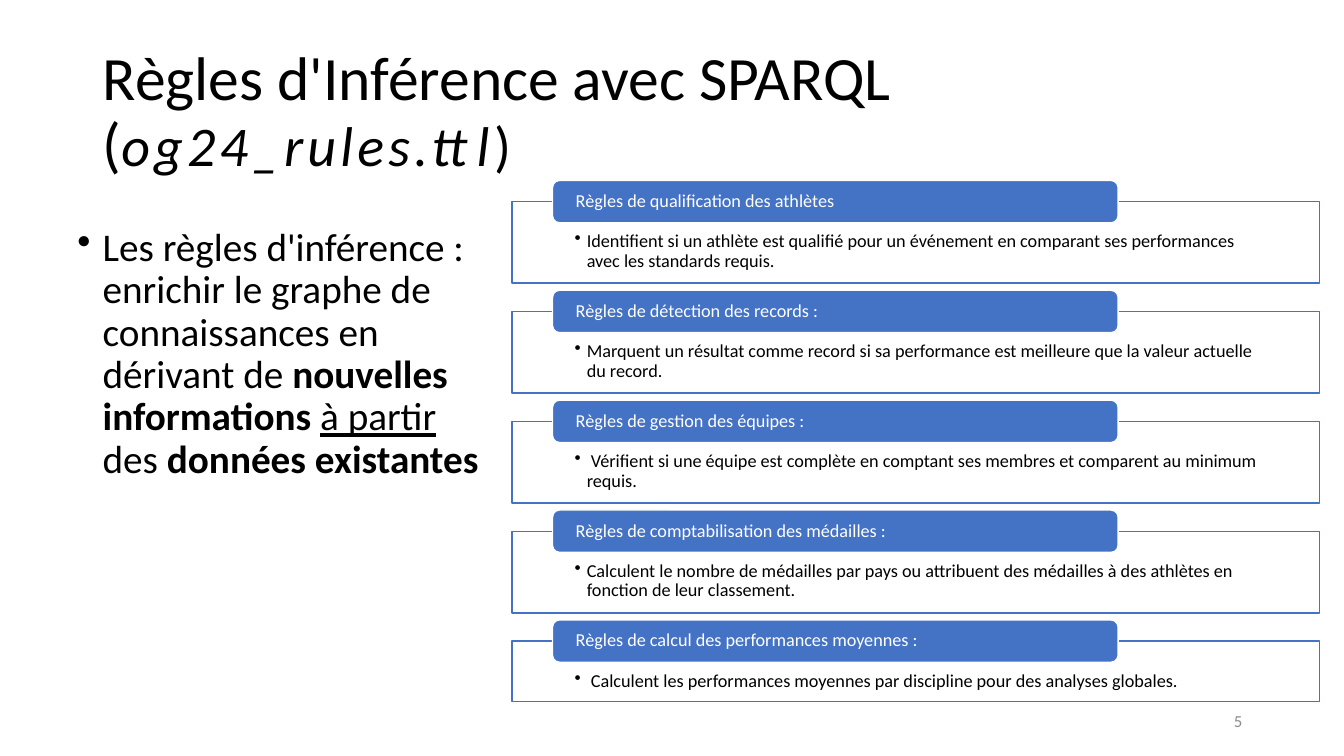
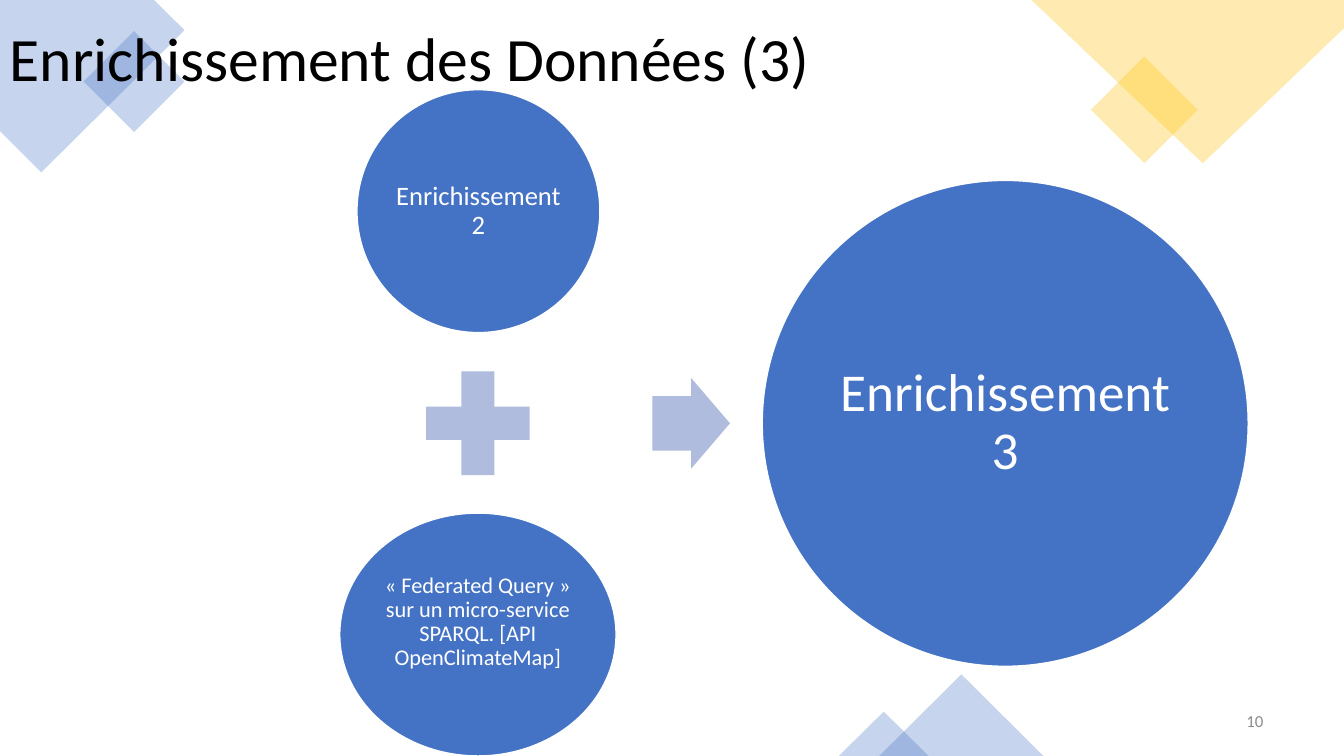
from lxml.etree import SubElement
from pptx import Presentation
from pptx.dml.color import RGBColor
from pptx.enum.shapes import MSO_SHAPE
from pptx.enum.text import MSO_ANCHOR, PP_ALIGN
from pptx.oxml.ns import qn
from pptx.util import Inches, Pt

BLUE = RGBColor(0x44, 0x72, 0xC4)
GOLD = RGBColor(0xFF, 0xC0, 0x00)
PALE_BLUE = RGBColor(0xB0, 0xBC, 0xDE)
GREY = RGBColor(0x8C, 0x8C, 0x8C)
BLACK = RGBColor(0, 0, 0)
WHITE = RGBColor(0xFF, 0xFF, 0xFF)
FONT = "Calibri"
TEXT_INSETS = (0.1, 0.05, 0.1, 0.05)

RULES = [
    ("Règles de qualification des athlètes",
     "Identifient si un athlète est qualifié pour un événement en comparant "
     "ses performances avec les standards requis."),
    ("Règles de détection des records :",
     "Marquent un résultat comme record si sa performance est meilleure "
     "que la valeur actuelle du record."),
    ("Règles de gestion des équipes :",
     " Vérifient si une équipe est complète en comptant ses membres et "
     "comparent au minimum requis."),
    ("Règles de comptabilisation des médailles :",
     "Calculent le nombre de médailles par pays ou attribuent des médailles "
     "à des athlètes en fonction de leur classement."),
    ("Règles de calcul des performances moyennes :",
     " Calculent les performances moyennes par discipline pour des "
     "analyses globales."),
]


# Text
def write(shape, runs, size, color=BLACK, align=PP_ALIGN.LEFT,
          anchor=MSO_ANCHOR.TOP, insets=TEXT_INSETS, spacing=0.9):
    """Fill a shape with one paragraph; runs is a list of (text, font settings)."""
    frame = shape.text_frame
    frame.word_wrap = True
    frame.vertical_anchor = anchor
    (frame.margin_left, frame.margin_top,
     frame.margin_right, frame.margin_bottom) = map(Inches, insets)
    paragraph = frame.paragraphs[0]
    paragraph.alignment = align
    paragraph.line_spacing = spacing
    for text, settings in runs:
        run = paragraph.add_run()
        run.text = text
        run.font.name, run.font.size = FONT, Pt(size)
        run.font.color.rgb = color
        for setting, value in settings.items():
            setattr(run.font, setting, value)
    return paragraph


def add_text(slide, box, runs, size, **options):
    return write(slide.shapes.add_textbox(*map(Inches, box)), runs, size, **options)


def set_bullet(paragraph, indent):
    properties = paragraph._p.get_or_add_pPr()
    properties.set("marL", str(Inches(indent)))
    properties.set("indent", str(-Inches(indent)))
    SubElement(properties, qn("a:buChar")).set("char", "•")


def add_title(slide, left, top, runs):
    return add_text(slide, (left, top, 11.5, 1.45), runs, 44,
                    anchor=MSO_ANCHOR.MIDDLE)


def add_page_number(slide, left, number):
    add_text(slide, (left, 6.95, 3, 0.4), [(number, {})], 12, color=GREY,
             align=PP_ALIGN.RIGHT, anchor=MSO_ANCHOR.MIDDLE, spacing=1.0)


# Shapes
def paint(shape, fill, line=None, opacity=100):
    shape.shadow.inherit = False
    shape.fill.solid()
    shape.fill.fore_color.rgb = fill
    if opacity < 100:
        color = shape.fill._xPr.find(qn("a:solidFill"))[0]
        SubElement(color, qn("a:alpha")).set("val", str(opacity * 1000))
    if line is None:
        shape.line.fill.background()
    else:
        shape.line.color.rgb = line
        shape.line.width = Pt(1)
    return shape


def add_shape(slide, preset, box, fill, line=None, opacity=100):
    shape = slide.shapes.add_shape(preset, *map(Inches, box))
    return paint(shape, fill, line, opacity)


def add_corner(slide, points, fill):
    outline = [(Inches(x), Inches(y)) for x, y in points]
    builder = slide.shapes.build_freeform(*outline[0])
    builder.add_line_segments(outline[1:], close=True)
    paint(builder.convert_to_shape(), fill, opacity=30)


def add_rule(slide, top, height, heading, description):
    body = add_shape(slide, MSO_SHAPE.RECTANGLE, (5.08, top, 8.01, height),
                     WHITE, BLUE)
    set_bullet(write(body, [(description, {})], 13,
                     insets=(0.62, 0.3, 0.62, 0.1)), 0.12)
    label = add_shape(slide, MSO_SHAPE.ROUNDED_RECTANGLE,
                      (5.48, top - 0.21, 5.61, 0.42), BLUE, WHITE)
    write(label, [(heading, {})], 13, color=WHITE, anchor=MSO_ANCHOR.MIDDLE,
          insets=(0.21, 0, 0.21, 0))


def add_circle(slide, box, text, size, inset, bottom_inset=None):
    circle = add_shape(slide, MSO_SHAPE.OVAL, box, BLUE, WHITE)
    write(circle, [(text, {})], size, color=WHITE, align=PP_ALIGN.CENTER,
          anchor=MSO_ANCHOR.MIDDLE,
          insets=(inset, inset, inset, bottom_inset or inset))


def add_decorations(slide):
    add_corner(slide, [(1.53, 0), (0, 0), (0, 1.3), (0.41, 1.71), (1.83, 0.3)], BLUE)
    add_corner(slide, [(13.33, 0), (10.23, 0), (11.93, 1.62), (13.33, 0.28)], GOLD)
    for preset, box, fill in [
        (MSO_SHAPE.DIAMOND, (0.83, 0.31, 1, 1), BLUE),
        (MSO_SHAPE.DIAMOND, (10.82, 0.56, 1.06, 1.06), GOLD),
        (MSO_SHAPE.ISOSCELES_TRIANGLE, (8.72, 6.69, 1.63, 0.81), BLUE),
        (MSO_SHAPE.ISOSCELES_TRIANGLE, (8.32, 7.06, 0.89, 0.44), BLUE),
    ]:
        add_shape(slide, preset, box, fill, opacity=30)


# Slides
def build_rules_slide(slide):
    title = add_title(slide, 0.92, 0.4, [
        ("Règles d'Inférence avec SPARQL (", {}),
        ("og24_rules.ttl", {"size": Pt(40), "italic": True}),
        (")", {"size": Pt(40)}),
    ])
    for run in title.runs[1:]:
        run.font._element.set("spc", "300")

    summary = add_text(slide, (0.67, 2.21, 4.22, 2.73), [
        ("Les règles d'inférence : enrichir le graphe de connaissances "
         "en dérivant de ", {}),
        ("nouvelles informations ", {"bold": True}),
        ("à partir ", {"underline": True}),
        ("des ", {}),
        ("données existantes", {"bold": True}),
    ], 28)
    summary.space_before = Pt(10)
    set_bullet(summary, 0.25)

    for index, (heading, description) in enumerate(RULES):
        height = 0.6 if index == len(RULES) - 1 else 0.81
        add_rule(slide, 2 + 1.09 * index, height, heading, description)
    add_page_number(slide, 9.42, "5")


def build_enrichment_slide(slide):
    add_decorations(slide)
    add_page_number(slide, 9.63, "10")
    add_title(slide, 0, -0.11, [("Enrichissement des Données (3)", {})])

    # Two inputs and their result
    add_circle(slide, (3.54, 0.89, 2.41, 2.41), "Enrichissement 2", 19, 0.03)
    add_shape(slide, MSO_SHAPE.MATH_PLUS, (4.04, 3.5, 1.4, 1.4), PALE_BLUE)
    add_circle(slide, (3.37, 5.09, 2.74, 2.41),
               "« Federated Query » sur un micro-service SPARQL. "
               "[API OpenClimateMap]", 16, 0.02, bottom_inset=0.26)
    arrow = add_shape(slide, MSO_SHAPE.RIGHT_ARROW, (6.47, 3.75, 0.77, 0.9), PALE_BLUE)
    arrow.adjustments[0] = 0.6
    arrow.adjustments[1] = 0.5
    add_circle(slide, (7.56, 1.79, 4.82, 4.82), "Enrichissement 3", 38, 0.05)


def main():
    presentation = Presentation()
    presentation.slide_width = Inches(13.33)
    presentation.slide_height = Inches(7.5)
    blank = presentation.slide_layouts[6]
    for build in (build_rules_slide, build_enrichment_slide):
        build(presentation.slides.add_slide(blank))
    presentation.save("out.pptx")


if __name__ == "__main__":
    main()
